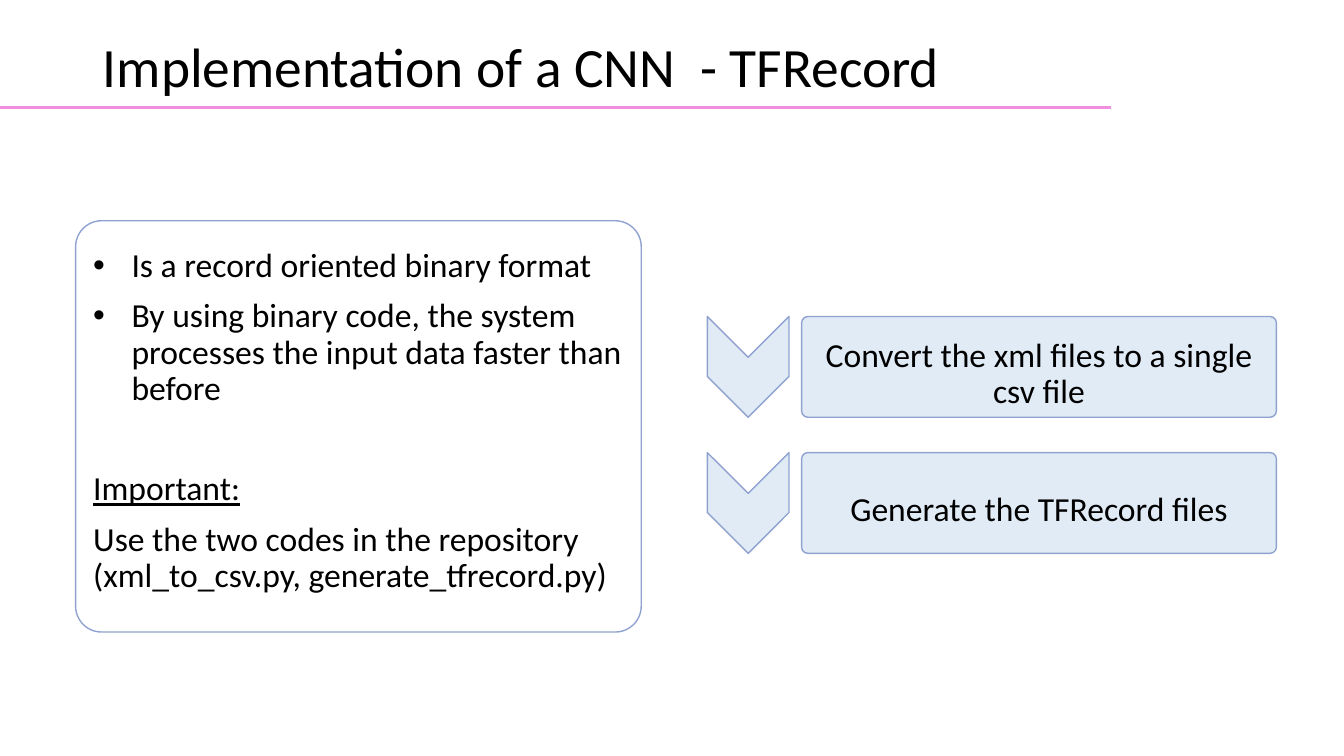
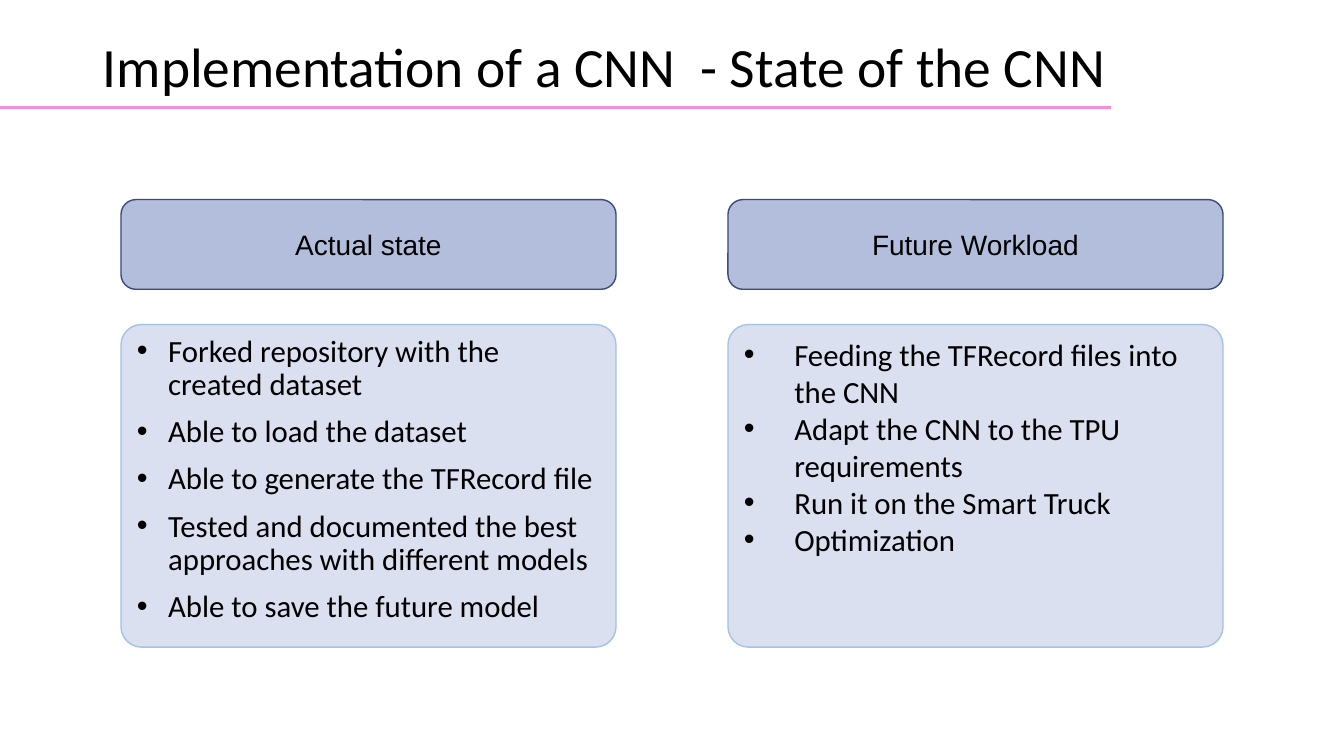
from lxml import etree
from pptx import Presentation
from pptx.dml.color import RGBColor
from pptx.enum.shapes import MSO_CONNECTOR, MSO_SHAPE
from pptx.enum.text import MSO_ANCHOR, MSO_AUTO_SIZE, PP_ALIGN
from pptx.oxml.ns import qn
from pptx.util import Inches, Pt

ROUNDED, CHEVRON = MSO_SHAPE.ROUNDED_RECTANGLE, MSO_SHAPE.CHEVRON
STRAIGHT = MSO_CONNECTOR.STRAIGHT
LEFT, CENTER = PP_ALIGN.LEFT, PP_ALIGN.CENTER
TOP, MIDDLE = MSO_ANCHOR.TOP, MSO_ANCHOR.MIDDLE
NO_AUTOFIT = MSO_AUTO_SIZE.NONE

BLACK = RGBColor(0x00, 0x00, 0x00)
RULE = RGBColor(0xF1, 0x8F, 0xDE)
STEP_FILL = RGBColor(0xE0, 0xEB, 0xF6)
STEP_LINE = RGBColor(0x90, 0xA2, 0xCF)
HEADER_FILL = RGBColor(0x4A, 0x66, 0xAC)
HEADER_LINE = RGBColor(0x37, 0x4B, 0x7F)
CARD_FILL = RGBColor(0xDA, 0xE0, 0xEF)
CARD_LINE = RGBColor(0xA1, 0xC4, 0xE3)

TWO_CONTENT, TITLE_AND_CONTENT = 3, 1
CARD_CORNER = 0.063
CORNER_INSET = 0.29
WIDE_INSETS = (0.1, 0.2, 0.1, 0.05)
PLAIN_INSETS = (0.1, 0.05, 0.1, 0.05)

RECORD_TITLE = "Implementation of a CNN  - TFRecord"
RECORD_NOTES = [
    ("Is a record oriented binary format", dict(indent=0.38)),
    ("By using binary code, the system processes the input data faster than before",
     dict(indent=0.38, before=10)),
    ("Important:", dict(before=46, underline=True)),
    ("Use the two codes in the repository (xml_to_csv.py, generate_tfrecord.py)",
     dict(before=10)),
]
RECORD_STEPS = ["Convert the xml files to a single csv file", "Generate the TFRecord files"]

STATE_TITLE = "Implementation of a CNN  - State of the CNN"
STATE_COLUMNS = [
    ("Actual state", dict(indent=0.31, before=10, spacing=0.9), [
        "Forked repository with the created dataset",
        "Able to load the dataset",
        "Able to generate the TFRecord file",
        "Tested and documented the best approaches with different models",
        "Able to save the future model",
    ]),
    ("Future Workload", dict(indent=0.5, before=0, spacing=1.0), [
        "Feeding the TFRecord files into the CNN",
        "Adapt the CNN to the TPU requirements",
        "Run it on the Smart Truck",
        "Optimization",
    ]),
]


def write(frame, text, first=True, size=24, font="Calibri", align=LEFT,
          spacing=0.9, before=0, indent=0, underline=False):
    paragraph = frame.paragraphs[0] if first else frame.add_paragraph()
    properties = paragraph._p.get_or_add_pPr()
    properties.set("marL", str(Inches(indent)))
    properties.set("indent", str(-Inches(indent)))
    if indent:
        bullet_font = etree.SubElement(properties, qn("a:buFont"))
        bullet_font.set("typeface", "Arial")
        etree.SubElement(properties, qn("a:buChar")).set("char", "•")
    else:
        etree.SubElement(properties, qn("a:buNone"))
    paragraph.alignment = align
    paragraph.line_spacing = spacing
    paragraph.space_before = Pt(0 if first else before)
    paragraph.space_after = Pt(0)
    run = paragraph.add_run()
    run.text = text
    run.font.name = font
    run.font.size = Pt(size)
    run.font.color.rgb = BLACK
    run.font.underline = underline


def set_frame(frame, insets, anchor):
    frame.auto_size = NO_AUTOFIT
    frame.word_wrap = True
    frame.vertical_anchor = anchor
    (frame.margin_left, frame.margin_top,
     frame.margin_right, frame.margin_bottom) = map(Inches, insets)


def place(part, box):
    part.left, part.top, part.width, part.height = map(Inches, box)


def add_box(slide, kind, box, line, fill=None, alpha=None, corner=None):
    part = slide.shapes.add_shape(kind, *map(Inches, box))
    part.shadow.inherit = False
    if fill is None:
        part.fill.background()
    else:
        part.fill.solid()
        part.fill.fore_color.rgb = fill
    if alpha is not None:
        color = part.element.spPr.find(qn("a:solidFill"))[0]
        etree.SubElement(color, qn("a:alpha")).set("val", str(alpha * 1000))
    part.line.color.rgb = line
    part.line.width = Pt(1)
    if corner is not None:
        part.adjustments[0] = corner
    return part


def add_list_card(slide, body, box, items, line, insets, fill=None, **text_format):
    card = add_box(slide, ROUNDED, box, line, fill, corner=CARD_CORNER)
    body.element.addprevious(card.element)
    left, top, width, height = box
    margin = CARD_CORNER * CORNER_INSET * min(width, height)
    place(body, (left + margin, top + margin, width - 2 * margin, height - 2 * margin))
    set_frame(body.text_frame, insets, TOP)
    for index, (text, item_format) in enumerate(items):
        write(body.text_frame, text, first=index == 0, **text_format, **item_format)


def start_slide(deck, layout, title):
    slide = deck.slides.add_slide(deck.slide_layouts[layout])
    rule = slide.shapes.add_connector(
        STRAIGHT, Inches(11.02), Inches(1.07), Inches(0), Inches(1.07))
    rule.line.color.rgb = RULE
    rule.line.width = Pt(2)
    etree.SubElement(rule.element.spPr, qn("a:effectLst"))
    heading = slide.shapes.title
    place(heading, (0.92, 0.33, 11.5, 0.72))
    set_frame(heading.text_frame, PLAIN_INSETS, MIDDLE)
    write(heading.text_frame, title, size=39.6)
    return slide


def build_record_slide(deck):
    slide = start_slide(deck, TITLE_AND_CONTENT, RECORD_TITLE)
    add_list_card(slide, slide.placeholders[1], (0.75, 2.19, 5.61, 4.08),
                  RECORD_NOTES, STEP_LINE, WIDE_INSETS)
    step_height, step_pitch, chevron_width = 1.0, 1.35, 0.81
    for index, text in enumerate(RECORD_STEPS):
        top = 3.14 + index * step_pitch
        step = add_box(slide, ROUNDED, (7.95, top, 4.71, step_height),
                       STEP_LINE, STEP_FILL, corner=CARD_CORNER)
        set_frame(step.text_frame, WIDE_INSETS, MIDDLE)
        write(step.text_frame, text, align=CENTER)
        chevron_top = top + (step_height - chevron_width) / 2
        chevron = add_box(slide, CHEVRON, (6.92, chevron_top, step_height, chevron_width),
                          STEP_LINE, STEP_FILL)
        chevron.rotation = 90


def build_state_slide(deck):
    slide = start_slide(deck, TWO_CONTENT, STATE_TITLE)
    width, pitch = 4.91, 6.02
    for index, (header, item_format, texts) in enumerate(STATE_COLUMNS):
        left = 1.2 + index * pitch
        label = add_box(slide, ROUNDED, (left, 1.98, width, 0.89),
                        HEADER_LINE, HEADER_FILL, alpha=42)
        set_frame(label.text_frame, PLAIN_INSETS, MIDDLE)
        write(label.text_frame, header, size=20, font="Arial", align=CENTER, spacing=1.0)
        add_list_card(slide, slide.placeholders[1 + index], (left, 3.22, width, 3.2),
                      [(text, item_format) for text in texts],
                      CARD_LINE, PLAIN_INSETS, CARD_FILL, size=22)


def main():
    deck = Presentation()
    deck.slide_width, deck.slide_height = Inches(13.33), Inches(7.5)
    build_record_slide(deck)
    build_state_slide(deck)
    deck.save("out.pptx")


if __name__ == "__main__":
    main()
